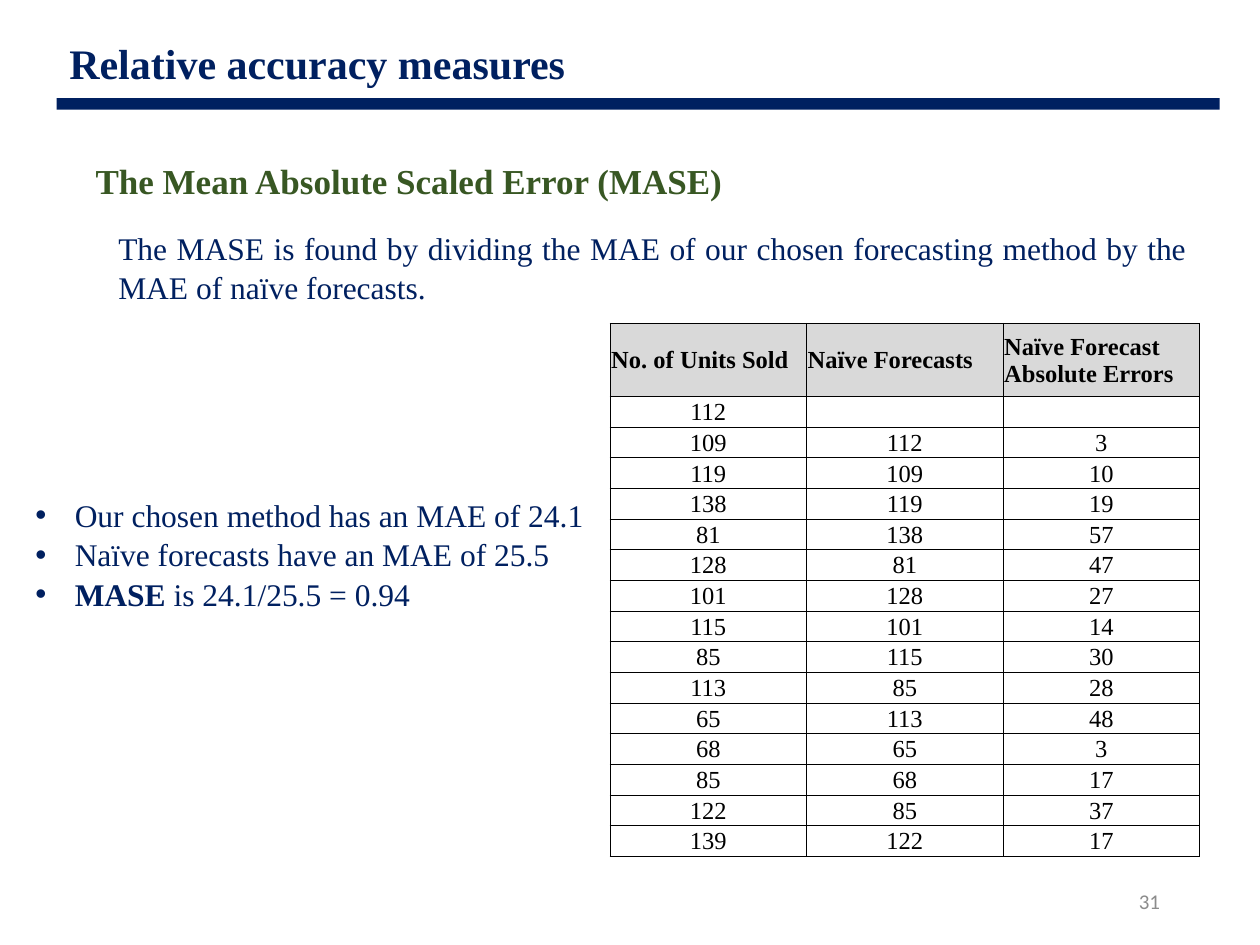
from pptx import Presentation
from pptx.dml.color import RGBColor
from pptx.enum.shapes import MSO_SHAPE
from pptx.enum.text import MSO_ANCHOR, MSO_AUTO_SIZE, PP_ALIGN
from pptx.oxml.xmlchemy import OxmlElement
from pptx.util import Pt

RECTANGLE = MSO_SHAPE.RECTANGLE
TOP, MIDDLE = MSO_ANCHOR.TOP, MSO_ANCHOR.MIDDLE
NO_FIT = MSO_AUTO_SIZE.NONE
LEFT, CENTER = PP_ALIGN.LEFT, PP_ALIGN.CENTER
RIGHT, JUSTIFY = PP_ALIGN.RIGHT, PP_ALIGN.JUSTIFY

SERIF = "Times New Roman"
NAVY, GREEN, GREY, BLACK = "002060", "385723", "8C8C8C", "000000"
HEADER_FILL = "D9D9D9"

HEADERS = ["No. of Units Sold", "Naïve Forecasts", "Naïve Forecast Absolute Errors"]
UNITS_SOLD = [112, 109, 119, 138, 81, 128, 101, 115, 85, 113, 65, 68, 85, 122, 139]
FINDINGS = [
    [("Our chosen method has an MAE of 24.1", False)],
    [("Naïve forecasts have an MAE of 25.5", False)],
    [("MASE ", True), ("is 24.1/25.5 = 0.94", False)],
]


def rgb(value):
    return RGBColor.from_string(value)


def style(paragraph, size, color, bold=False, align=LEFT, font=SERIF, spacing=1.05):
    paragraph.alignment = align
    paragraph.line_spacing = spacing
    paragraph.space_before = Pt(0)
    paragraph.font.name = font
    paragraph.font.size = Pt(size)
    paragraph.font.bold = bold
    paragraph.font.color.rgb = rgb(color)


def place(shape, box, anchor=TOP):
    """Move a text shape to box and return its prepared text frame."""
    shape.left, shape.top, shape.width, shape.height = map(Pt, box)
    frame = shape.text_frame
    frame.word_wrap = True
    frame.auto_size = NO_FIT
    frame.vertical_anchor = anchor
    return frame


def add_text(slide, box, text, size, color, anchor=TOP, **options):
    frame = place(slide.shapes.add_textbox(*map(Pt, box)), box, anchor)
    frame.text = text
    style(frame.paragraphs[0], size, color, **options)


def add_heading(slide, box):
    """Title with the rule that closes the box at the bottom."""
    left, top, width, height = box
    rule_height = 6.6
    frame = place(slide.shapes.title, (left, top, 542, 36))
    frame.text = "Relative accuracy measures"
    style(frame.paragraphs[0], 24, NAVY, bold=True)
    rule = slide.shapes.add_shape(
        RECTANGLE, Pt(left), Pt(top + height - rule_height), Pt(width), Pt(rule_height))
    rule.shadow.inherit = False
    rule.fill.solid()
    rule.fill.fore_color.rgb = rgb(NAVY)
    rule.line.fill.background()


def add_findings(slide, box):
    frame = place(slide.placeholders[1], box)
    for i, parts in enumerate(FINDINGS):
        paragraph = frame.add_paragraph() if i else frame.paragraphs[0]
        style(paragraph, 18, NAVY, align=JUSTIFY)
        for text, bold in parts:
            run = paragraph.add_run()
            run.text = text
            run.font.bold = bold
        properties = paragraph._p.get_or_add_pPr()
        properties.set("marL", str(Pt(22.5)))
        properties.set("indent", str(Pt(-22.5)))


def add_borders(cell):
    properties = cell._tc.get_or_add_tcPr()
    for side in ("a:lnL", "a:lnR", "a:lnT", "a:lnB"):
        line = OxmlElement(side)
        line.set("w", str(Pt(0.5)))
        fill = OxmlElement("a:solidFill")
        color = OxmlElement("a:srgbClr")
        color.set("val", BLACK)
        fill.append(color)
        line.append(fill)
        properties.append(line)


def fill_cell(cell, text, is_header):
    cell.margin_left = cell.margin_right = cell.margin_top = Pt(0.7)
    cell.margin_bottom = Pt(0)
    cell.vertical_anchor = MIDDLE
    cell.text = text
    paragraph = cell.text_frame.paragraphs[0]
    style(paragraph, 14, BLACK, bold=is_header,
          align=LEFT if is_header else CENTER, spacing=1.0)
    if not text:
        # keeps an empty cell from growing to the default text size
        end = OxmlElement("a:endParaRPr")
        end.set("sz", "1400")
        paragraph._p.append(end)
    add_borders(cell)
    if is_header:
        cell.fill.solid()
        cell.fill.fore_color.rgb = rgb(HEADER_FILL)
    else:
        cell.fill.background()


def add_forecast_table(slide, box):
    """Each naïve forecast is the previous number of units sold."""
    rows = [HEADERS, [str(UNITS_SOLD[0]), "", ""]]
    for forecast, sold in zip(UNITS_SOLD, UNITS_SOLD[1:]):
        rows.append([str(sold), str(forecast), str(abs(sold - forecast))])

    left, top, width, height = box
    header_height = 41.8
    table = slide.shapes.add_table(len(rows), len(HEADERS), *map(Pt, box)).table
    for column in table.columns:
        column.width = Pt(width / len(HEADERS))
    for r, values in enumerate(rows):
        body_height = (height - header_height) / (len(rows) - 1)
        table.rows[r].height = Pt(body_height if r else header_height)
        for c, text in enumerate(values):
            fill_cell(table.cell(r, c), text, is_header=r == 0)


def main():
    deck = Presentation()
    deck.slide_width, deck.slide_height = Pt(720), Pt(540)
    slide = deck.slides.add_slide(deck.slide_layouts[1])

    add_text(slide, (508, 500.4, 162, 28.8), "31", 12, GREY, anchor=MIDDLE,
             align=RIGHT, font="Calibri", spacing=1.0)
    add_forecast_table(slide, (348.6, 184.8, 336.9, 304.8))
    add_heading(slide, (32.4, 16.6, 664.6, 46.1))
    add_findings(slide, (13, 278.6, 360, 72.7))
    add_text(slide, (47.5, 86.4, 528, 31.7), "The Mean Absolute Scaled Error (MASE)",
             20, GREEN, bold=True, align=JUSTIFY)
    add_text(slide, (60.5, 126, 625, 51),
             "The MASE is found by dividing the MAE of our chosen forecasting method "
             "by the MAE of naïve forecasts.", 18, NAVY, align=JUSTIFY)

    deck.save("out.pptx")


if __name__ == "__main__":
    main()
